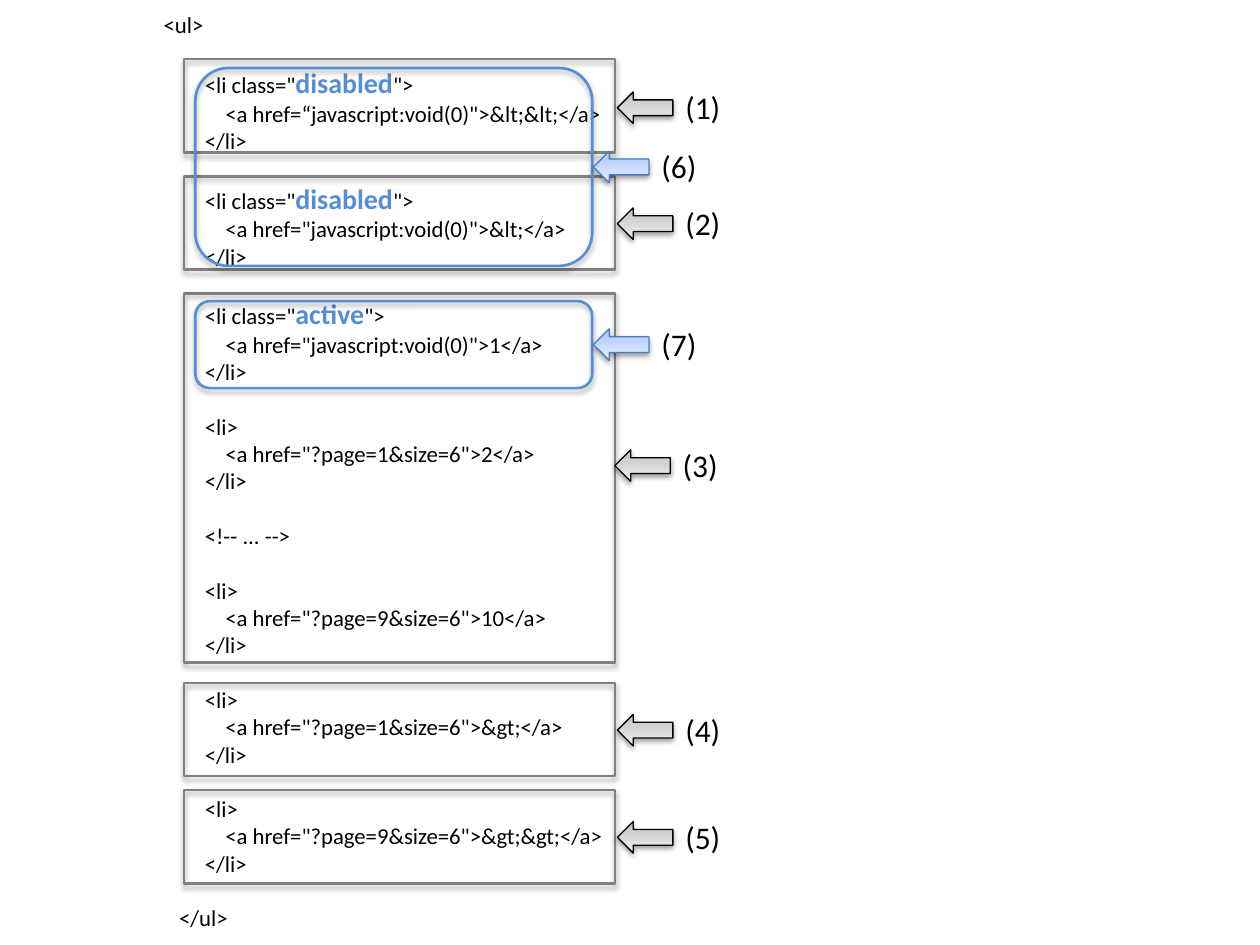
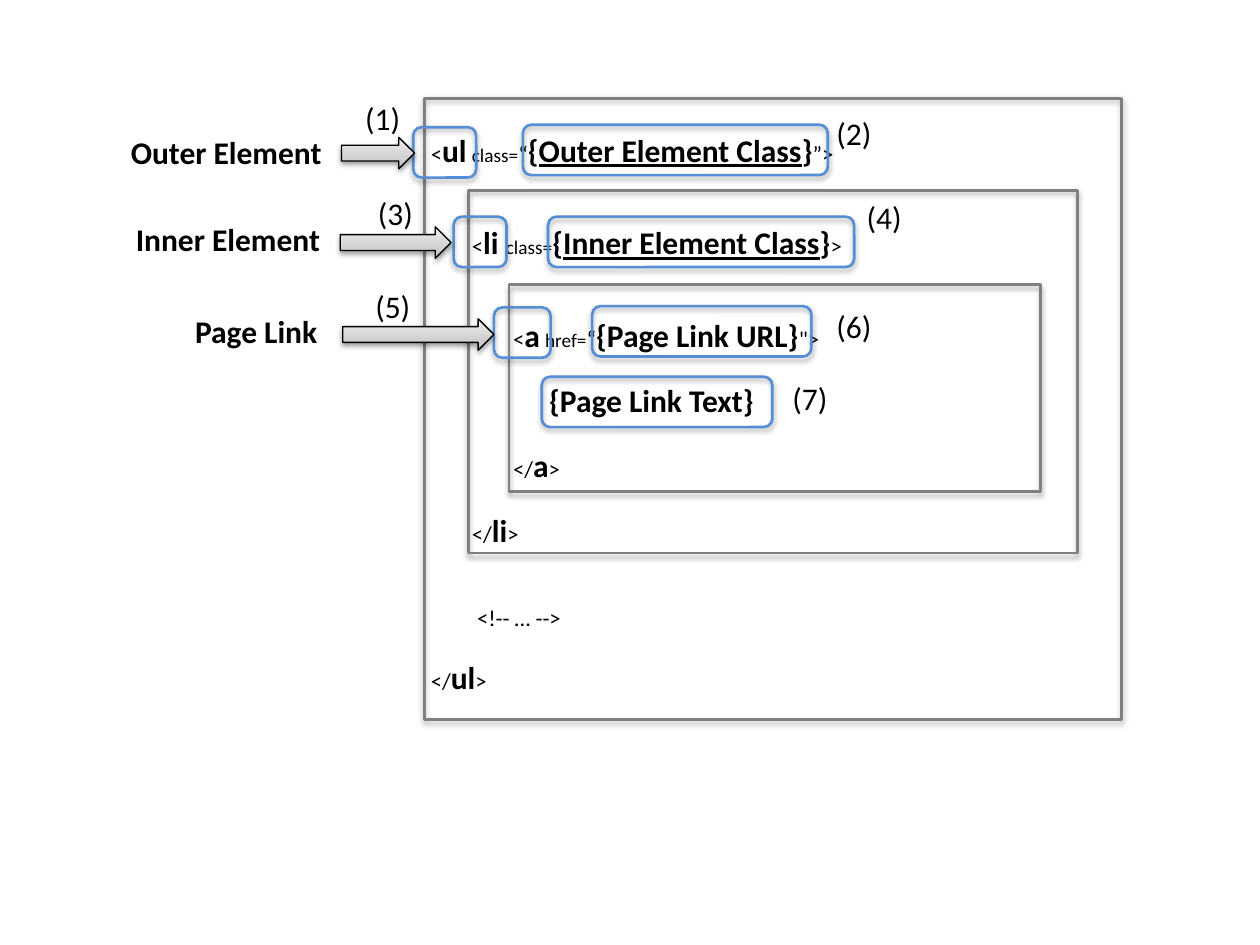
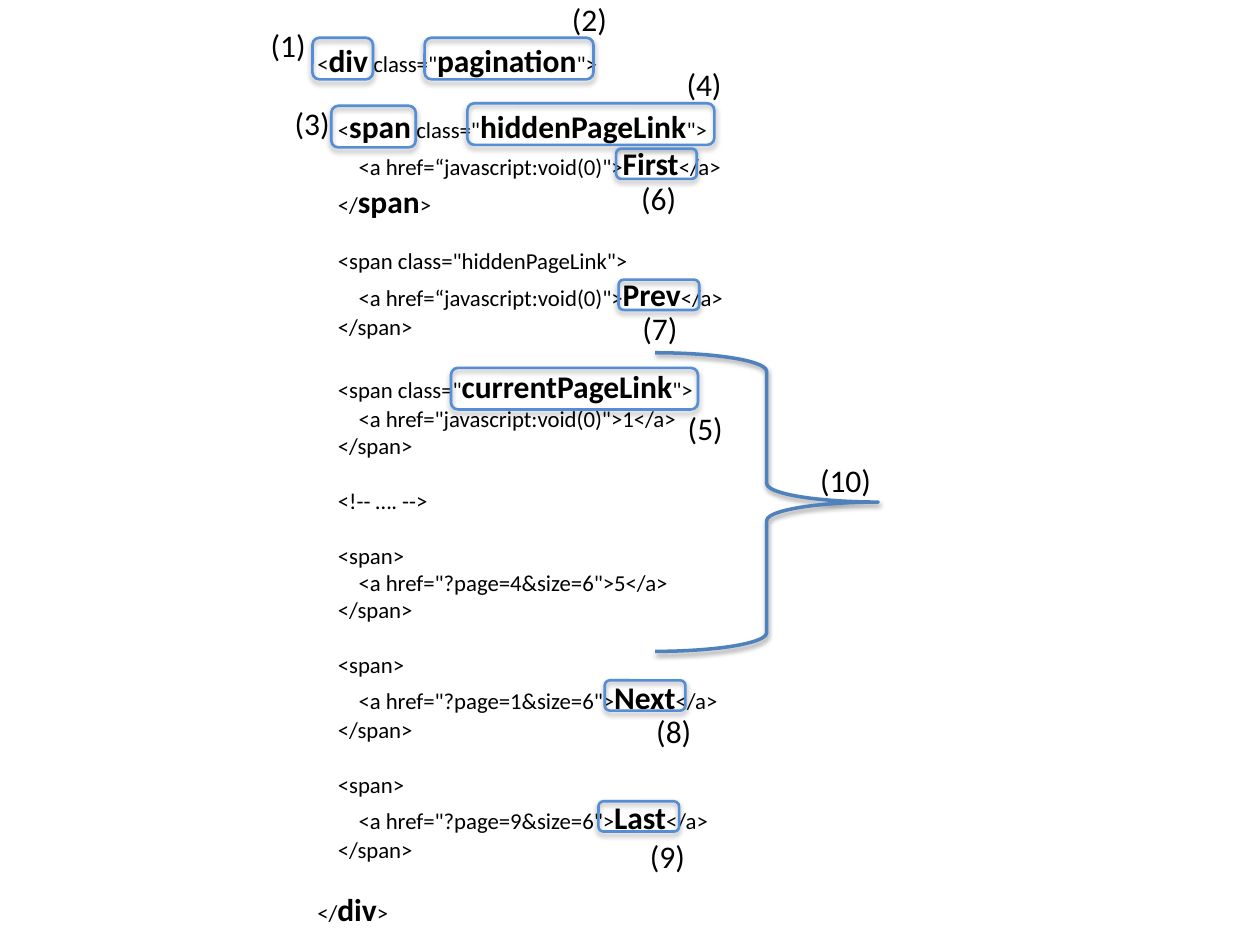
import pptx
import pptx.util
import pptx.dml.color
import pptx.enum.shapes
import pptx.enum.text
import pptx.oxml
import pptx.oxml.ns
from lxml import etree

SHAPE = pptx.enum.shapes.MSO_SHAPE
FONT = "Calibri"
BLACK, GREY, BLUE, BRACE_BLUE = "000000", "808080", "558ED5", "4F81BD"
GREY_ARROW = (BLACK, ("BDBDBD", "D1D1D1", "EEEEEE"))
BLUE_ARROW = ("4B7EBC", ("A4C4FF", "BFD4FF", "E6EEFF"))
STOPS = (0, 35, 100)

# The slide is a grid of 10 columns and 7.5 rows
WIDTH, HEIGHT = pptx.util.Inches(10), pptx.util.Inches(7.5)
COLUMN, ROW = WIDTH / 10, HEIGHT / 7.5

CODE_SIZE = 13
CODE_LINE = 15.6    # height of one code line, points
CODE_SPACE = 2.94   # width of one code space, points

OUTLINES = {
    "frame": (SHAPE.RECTANGLE, GREY, 1.5),
    "mark": (SHAPE.ROUNDED_RECTANGLE, BLUE, 1.5),
    "brace": (SHAPE.RIGHT_BRACE, BRACE_BLUE, 2),
}


def color(value):
    return pptx.dml.color.RGBColor.from_string(value)


def grid(left, top, width, height):
    return [round(v) for v in (left * COLUMN, top * ROW, width * COLUMN, height * ROW)]


# ---- Run styles: a run is a plain string or (text, format values) ----
def big(text, **extra):
    return text, {"size": 18, "bold": True, **extra}


def small(text):
    return text, {"size": 11}


def state(text):
    return text, {"size": 16, "bold": True, "color": BLUE}


def add_run(paragraph, text, style):
    run = paragraph.add_run()
    run.text = text
    values = {"name": FONT, "size": CODE_SIZE, "bold": False, "color": BLACK, **style}
    run.font.color.rgb = color(values.pop("color"))
    values["size"] = pptx.util.Pt(values["size"])
    for name, value in values.items():
        setattr(run.font, name, value)


# ---- Kinds of element ----
def add_text(slide, box, lines, wrap=True):
    """Each line is (blank lines above, spaces of indent, run, run, ...)."""
    frame = slide.shapes.add_textbox(*grid(*box)).text_frame
    frame.word_wrap = wrap
    frame.auto_size = pptx.enum.text.MSO_AUTO_SIZE.SHAPE_TO_FIT_TEXT
    for number, (gap, indent, *runs) in enumerate(lines):
        paragraph = frame.add_paragraph() if number else frame.paragraphs[0]
        paragraph.space_before = pptx.util.Pt(gap * CODE_LINE)
        margin = round(pptx.util.Pt(indent * CODE_SPACE))
        properties = paragraph._p.get_or_add_pPr()
        properties.set("marL", str(margin))
        properties.set("indent", "0")
        for run in runs:
            text, style = (run, {}) if isinstance(run, str) else run
            add_run(paragraph, text, style)


def add_number(slide, number, left, top, width=0.48):
    add_text(slide, (left, top, width, 0.4),
             [(0, 0, big(f"({number})", bold=False))], wrap=width > 0.5)


def add_shadow(shape, alpha, distance):
    shape.shadow.inherit = False
    effects = shape._element.spPr.find(pptx.oxml.ns.qn("a:effectLst"))
    effects.append(pptx.oxml.parse_xml(
        f'<a:outerShdw {pptx.oxml.ns.nsdecls("a")} blurRad="{pptx.util.Pt(3.1)}" '
        f'dist="{pptx.util.Pt(distance)}" dir="5400000" rotWithShape="0">'
        f'<a:srgbClr val="{BLACK}"><a:alpha val="{alpha * 1000}"/></a:srgbClr>'
        '</a:outerShdw>'))


def add_outline(slide, kind, *box):
    preset, line, weight = OUTLINES[kind]
    outline = slide.shapes.add_shape(preset, *grid(*box))
    outline.fill.background()
    outline.line.color.rgb = color(line)
    outline.line.width = pptx.util.Pt(weight)
    add_shadow(outline, *((38, 1.6) if kind == "brace" else (35, 1.8)))


def add_arrow(slide, left, top, width, look=GREY_ARROW, rotation=0):
    line, shades = look
    arrow = slide.shapes.add_shape(SHAPE.RIGHT_ARROW, *grid(left, top, width, 0.25))
    arrow.rotation = rotation
    arrow.fill.gradient()
    arrow.fill.gradient_angle = 90
    stops = arrow._element.spPr.find(".//" + pptx.oxml.ns.qn("a:gsLst"))
    for old in list(stops):
        stops.remove(old)
    for position, shade in zip(STOPS, shades):
        stop = etree.SubElement(stops, pptx.oxml.ns.qn("a:gs"), pos=str(position * 1000))
        etree.SubElement(stop, pptx.oxml.ns.qn("a:srgbClr"), val=shade)
    arrow.line.color.rgb = color(line)
    arrow.line.width = pptx.util.Pt(0.75)
    add_shadow(arrow, 38, 1.6)


def item(tag, indent, href, label, opening=None):
    """Three code lines: an element that holds one page link."""
    return [
        (1, indent, *(opening or [f"<{tag}>"])),
        (0, indent + 4, f'<a href={href}">', *label, "</a>"),
        (0, indent, f"</{tag}>"),
    ]


VOID, CURLY_VOID = '"javascript:void(0)', "\u201cjavascript:void(0)"


def page(number):
    return f'"?page={number}&size=6'


# ---- Slide 1: list items of the pagination ----
def build_list(slide):
    def li(href, label, css_class=None):
        opening = ['<li class="', state(css_class), '">'] if css_class else None
        return item("li", 9, href, [label], opening)

    add_text(slide, (1.16, 0.04, 5.05, 7.47), [
        (0, 1, "<ul>"),
        *li(CURLY_VOID, "&lt;&lt;", "disabled"),
        *li(VOID, "&lt;", "disabled"),
        *li(VOID, "1", "active"),
        *li(page(1), "2"),
        (1, 9, "<!-- ... -->"),
        *li(page(9), "10"),
        *li(page(1), "&gt;"),
        *li(page(9), "&gt;&gt;"),
        (1, 4, "</ul>"),
    ])
    for top, height in ((0.47, 0.74), (1.4, 0.74), (2.33, 2.93), (5.42, 0.74), (6.27, 0.74)):
        add_outline(slide, "frame", 1.46, top, 3.42, height)
    for top, height in ((0.54, 1.57), (2.39, 0.69)):
        add_outline(slide, "mark", 1.55, top, 3.15, height)
    callouts = [(4.9, 0.73), (4.9, 1.65), (4.88, 3.57), (4.9, 5.67), (4.9, 6.52),
                (4.71, 1.2), (4.71, 2.61)]
    for number, (left, top) in enumerate(callouts, 1):
        look = GREY_ARROW if number <= 5 else BLUE_ARROW
        add_arrow(slide, left, top, 0.44, look, 180)
        add_number(slide, number, left + 0.44, top - 0.08)


# ---- Slide 2: elements and their attributes ----
def build_structure(slide):
    def closing(gap, indent, tag):
        return gap, indent, "</", big(tag), ">"

    add_text(slide, (3.28, 0.99, 4.57, 4.63), [
        (0, 1, "<", big("ul"), " ", small("class="), "\u201c", big("{"),
         big("Outer Element Class", underline=True), big("}"), "\u201d>"),
        (2, 9, "<", big("li "), small("class="), big("{"),
         big("Inner Element Class", underline=True), big("}"), ">"),
        (2, 17, "<", big("a"), " ", small("href="), "\u201c", big("{Page Link URL}"), '">'),
        (1, 24, big("{Page Link Text}")),
        closing(1, 17, "a"),
        closing(1, 9, "li"),
        (2, 10, "<!-- \u2026 -->"),
        closing(1, 1, "ul"),
    ])
    for box in ((3.37, 0.78, 5.53, 4.93), (3.72, 1.51, 4.83, 2.88), (4.04, 2.26, 4.22, 1.64)):
        add_outline(slide, "frame", *box)
    marks = [(3.28, 1.01, 0.5), (4.15, 0.99, 2.42), (3.6, 1.72, 0.42), (4.35, 1.72, 2.43),
             (3.92, 2.44, 0.45), (4.7, 2.43, 1.74), (4.3, 2.99, 1.83)]
    for mark in marks:
        add_outline(slide, "mark", *mark, 0.4)
    for arrow in ((2.71, 1.09, 0.58), (2.7, 1.8, 0.88), (2.72, 2.53, 1.2)):
        add_arrow(slide, *arrow)
    for name, left, top, width in (("Outer Element", 0.94, 1.01, 1.96),
                                   ("Inner Element", 0.98, 1.7, 1.96),
                                   ("Page Link", 1.45, 2.43, 1.26)):
        add_text(slide, (left, top, width, 0.4), [(0, 0, big(name))])
    numbers = [(2.8, 0.74), (6.54, 0.86), (2.9, 1.49), (6.78, 1.52), (2.88, 2.23),
               (6.54, 2.39), (6.19, 2.96)]
    for number, place in enumerate(numbers, 1):
        add_number(slide, number, *place)


# ---- Slide 3: pagination built from spans ----
def build_spans(slide):
    def span(href, label, opening=None):
        return item("span", 4, href, [label], opening)

    add_text(slide, (2.42, 0.28, 5.05, 7.2), [
        (0, 0, "<", big("div"), ' class="', big("pagination"), '">'),
        *span(CURLY_VOID, big("First"),
              ["<", big("span"), ' class="', big("hiddenPageLink"), '">'])[:2],
        (0, 4, "</", big("span"), ">"),
        *span(CURLY_VOID, big("Prev"), ['<span class="hiddenPageLink">']),
        *span(VOID, "1", ['<span class="', big("currentPageLink"), '">']),
        (1, 4, "<!-- \u2026. -->"),
        *span(page(4), "5"),
        *span(page(1), big("Next")),
        *span(page(9), big("Last")),
        (1, 0, "</", big("div"), ">"),
    ])
    tall_marks = [(2.48, 0.3, 0.48), (3.37, 0.3, 1.34), (2.63, 0.84, 0.67),
                  (3.71, 0.82, 1.96), (3.58, 2.92, 1.96)]
    for mark in tall_marks:
        add_outline(slide, "mark", *mark, 0.33)
    for left, top in ((4.89, 1.18), (4.91, 2.22), (4.8, 5.4), (4.75, 6.36)):
        add_outline(slide, "mark", left, top, 0.64, 0.24)
    add_outline(slide, "brace", 5.2, 2.8, 1.77, 2.37)
    numbers = [(2.05, 0.16), (4.44, -0.05), (2.24, 0.78), (5.35, 0.47), (5.36, 3.2),
               (4.99, 1.37), (5, 2.4), (5.11, 5.6), (5.06, 6.59), (6.41, 3.61, 0.79)]
    for number, place in enumerate(numbers, 1):
        add_number(slide, number, *place)


def main():
    deck = pptx.Presentation()
    deck.slide_width, deck.slide_height = WIDTH, HEIGHT
    blank = deck.slide_layouts[6]
    for build in (build_list, build_structure, build_spans):
        build(deck.slides.add_slide(blank))
    deck.save("out.pptx")


main()
